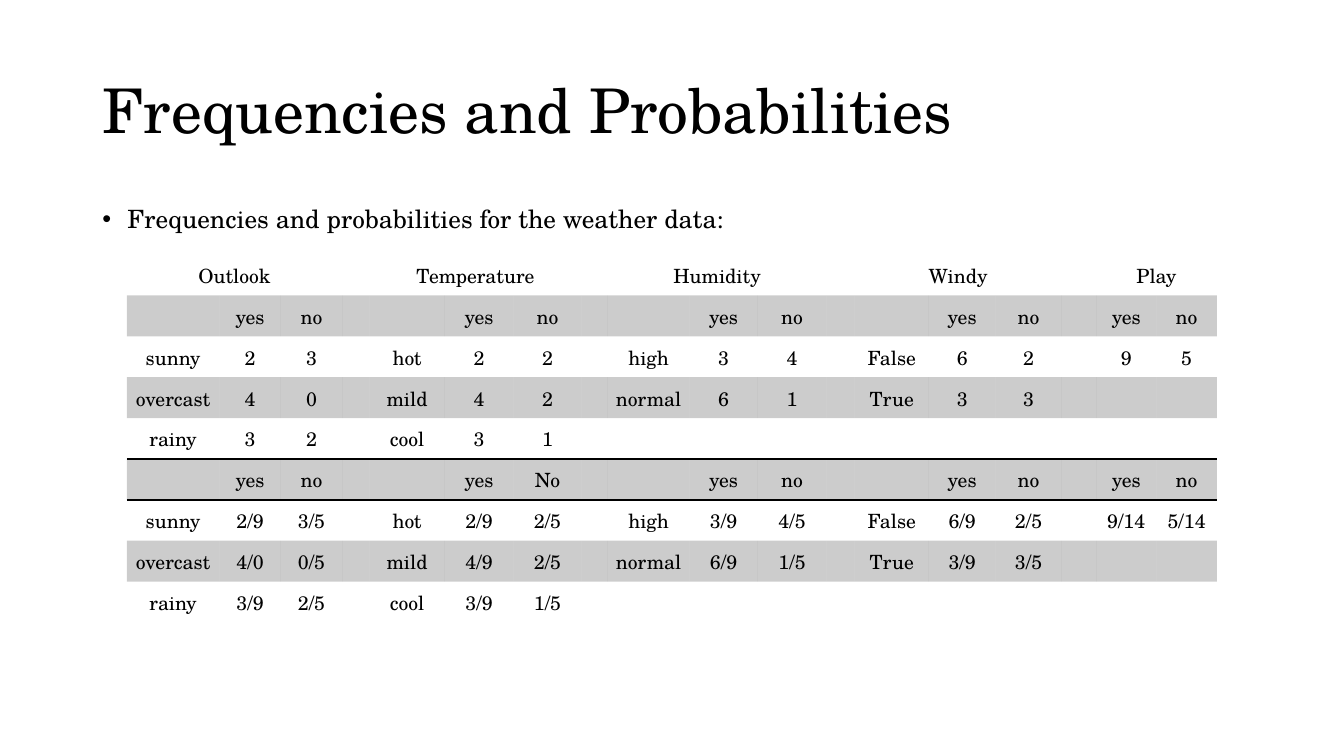
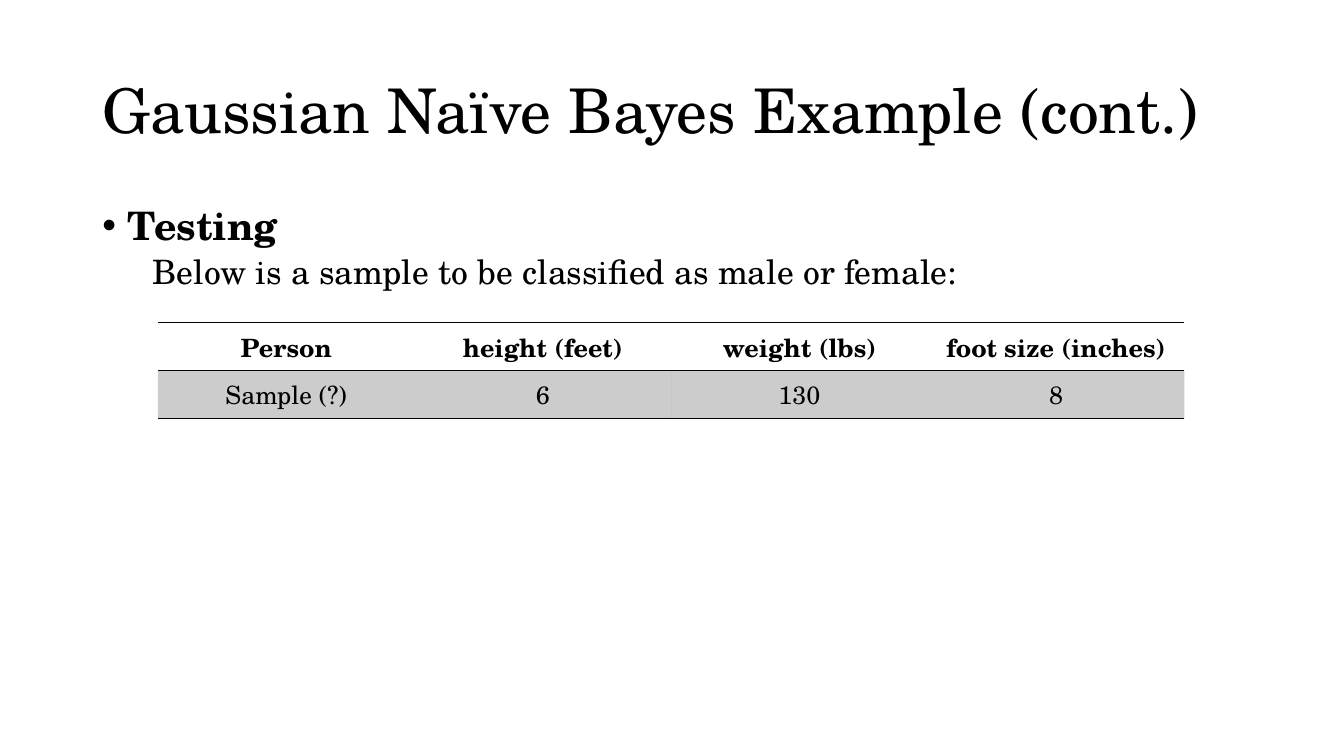
from lxml.etree import SubElement
from pptx import Presentation
from pptx.dml.color import RGBColor
from pptx.enum.text import MSO_ANCHOR, PP_ALIGN
from pptx.oxml import parse_xml
from pptx.oxml.ns import nsdecls, qn
from pptx.util import Inches, Pt

COLORS = {"ink": "000000", "band": "000000"}
FONT = "TeX Gyre Schola"
GRID_COLUMNS, GRID_ROWS = 160, 90
UNIT = Inches(1) / 12
BAND_OPACITY = 20
PLAIN_TABLE_STYLE = "{2D5ABB26-0587-4C30-8999-92F81FD0307C}"

TITLE_BOX = (11, 4.8, 138, 17.4)
BODY_BOX = (11, 24, 138, 57.1)

FREQUENCY_WIDTHS = [
    0.92, 0.61, 0.61, 0.27, 0.75, 0.68, 0.68, 0.26, 0.81,
    0.68, 0.68, 0.28, 0.74, 0.66, 0.66, 0.34, 0.6, 0.6,
]
FREQUENCY_ROWS = [
    "Outlook,,,,Temperature,,,,Humidity,,,,Windy,,,,Play,",
    ",yes,no,,,yes,no,,,yes,no,,,yes,no,,yes,no",
    "sunny,2,3,,hot,2,2,,high,3,4,,False,6,2,,9,5",
    "overcast,4,0,,mild,4,2,,normal,6,1,,True,3,3,,,",
    "rainy,3,2,,cool,3,1,,,,,,,,,,,",
    ",yes,no,,,yes,No,,,yes,no,,,yes,no,,yes,no",
    "sunny,2/9,3/5,,hot,2/9,2/5,,high,3/9,4/5,,False,6/9,2/5,,9/14,5/14",
    "overcast,4/0,0/5,,mild,4/9,2/5,,normal,6/9,1/5,,True,3/9,3/5,,,",
    "rainy,3/9,2/5,,cool,3/9,1/5,,,,,,,,,,,",
]
SAMPLE_ROWS = [
    "Person,height (feet),weight (lbs),foot size (inches)",
    "Sample (?),6,130,8",
]


def grid(value):
    return round(value * UNIT)


def format_runs(paragraph, size, bold=False):
    for run in paragraph.runs:
        run.font.name = FONT
        run.font.size = Pt(size)
        run.font.bold = bold
        run.font.color.rgb = RGBColor.from_string(COLORS["ink"])


def add_text_box(slide, box):
    frame = slide.shapes.add_textbox(*map(grid, box)).text_frame
    frame.word_wrap = True
    return frame


def add_title(slide, box, text):
    frame = add_text_box(slide, box)
    frame.vertical_anchor = MSO_ANCHOR.MIDDLE
    frame.text = text
    frame.paragraphs[0].line_spacing = 0.9
    format_runs(frame.paragraphs[0], 44)


def add_body(slide, box, heading, size, bold=False, detail=None):
    frame = add_text_box(slide, box)
    frame.text = heading
    paragraph = frame.paragraphs[0]
    properties = paragraph._p.get_or_add_pPr()
    properties.set("marL", str(Inches(0.25)))
    properties.set("indent", str(-Inches(0.25)))
    SubElement(properties, qn("a:buFont")).set("typeface", "Arial")
    SubElement(properties, qn("a:buChar")).set("char", "•")
    paragraph.line_spacing = 0.9
    format_runs(paragraph, size, bold)
    if detail:
        paragraph = frame.add_paragraph()
        paragraph.text = detail
        paragraph.level = 1
        paragraph._p.get_or_add_pPr().set("marL", str(Inches(0.5)))
        paragraph.line_spacing = 0.9
        paragraph.space_before = Pt(5)
        format_runs(paragraph, 24)


def fill_cell(cell, banded):
    if not banded:
        cell.fill.background()
        return
    cell.fill.solid()
    cell.fill.fore_color.rgb = RGBColor.from_string(COLORS["band"])
    color = cell._tc.tcPr.find(".//" + qn("a:srgbClr"))
    SubElement(color, qn("a:alpha")).set("val", str(BAND_OPACITY * 1000))


def add_borders(cell, sides, width):
    for position, side in enumerate(sides):
        border = parse_xml(
            f'<a:ln{side} {nsdecls("a")} w="{Pt(width)}"><a:solidFill>'
            f'<a:srgbClr val="{COLORS["ink"]}"/></a:solidFill></a:ln{side}>'
        )
        cell._tc.get_or_add_tcPr().insert(position, border)


def add_banded_table(slide, box, widths, rows, size, rules, rule_width,
                     bold_header=False, tight=False):
    shape = slide.shapes.add_table(len(rows), len(widths), *map(grid, box))
    table = shape.table
    table.first_row = table.horz_banding = False
    table._tbl.tblPr.find(qn("a:tableStyleId")).text = PLAIN_TABLE_STYLE
    for column, width in zip(table.columns, widths):
        column.width = grid(box[2] * width / sum(widths))
    for row_index, row in enumerate(rows):
        table.rows[row_index].height = grid(box[3] / len(rows))
        sides = [side for side, edge in (("T", row_index), ("B", row_index + 1))
                 if edge in rules]
        for column_index, text in enumerate(row.split(",")):
            cell = table.cell(row_index, column_index)
            cell.text = text
            cell.vertical_anchor = MSO_ANCHOR.MIDDLE
            if tight:
                cell.margin_left = cell.margin_right = cell.margin_top = Inches(0.01)
                cell.margin_bottom = 0
            paragraph = cell.text_frame.paragraphs[0]
            paragraph.alignment = PP_ALIGN.CENTER
            format_runs(paragraph, size, bold_header and row_index == 0)
            fill_cell(cell, row_index % 2 == 1)
            add_borders(cell, sides, rule_width)
    return table


def add_frequency_slide(slide):
    add_title(slide, TITLE_BOX, "Frequencies and Probabilities")
    add_body(slide, BODY_BOX, "Frequencies and probabilities for the weather data:", 18)
    table = add_banded_table(slide, (15.1, 30.3, 129.8, 43.8), FREQUENCY_WIDTHS,
                             FREQUENCY_ROWS, 14, {5}, 1.5, tight=True)
    last_column = len(FREQUENCY_WIDTHS) - 1
    for first in range(0, last_column, 4):
        table.cell(0, first).merge(table.cell(0, min(first + 2, last_column)))


def add_sample_slide(slide):
    add_title(slide, TITLE_BOX, "Gaussian Naïve Bayes Example (cont.)")
    add_body(slide, BODY_BOX, "Testing", 28, True,
             "Below is a sample to be classified as male or female:")
    add_banded_table(slide, (18.8, 38.4, 122.2, 11.4), [1] * 4, SAMPLE_ROWS,
                     18, {0, 1, 2}, 1, bold_header=True)


def main():
    presentation = Presentation()
    presentation.slide_width = grid(GRID_COLUMNS)
    presentation.slide_height = grid(GRID_ROWS)
    for build in (add_frequency_slide, add_sample_slide):
        build(presentation.slides.add_slide(presentation.slide_layouts[6]))
    presentation.save("out.pptx")


if __name__ == "__main__":
    main()
